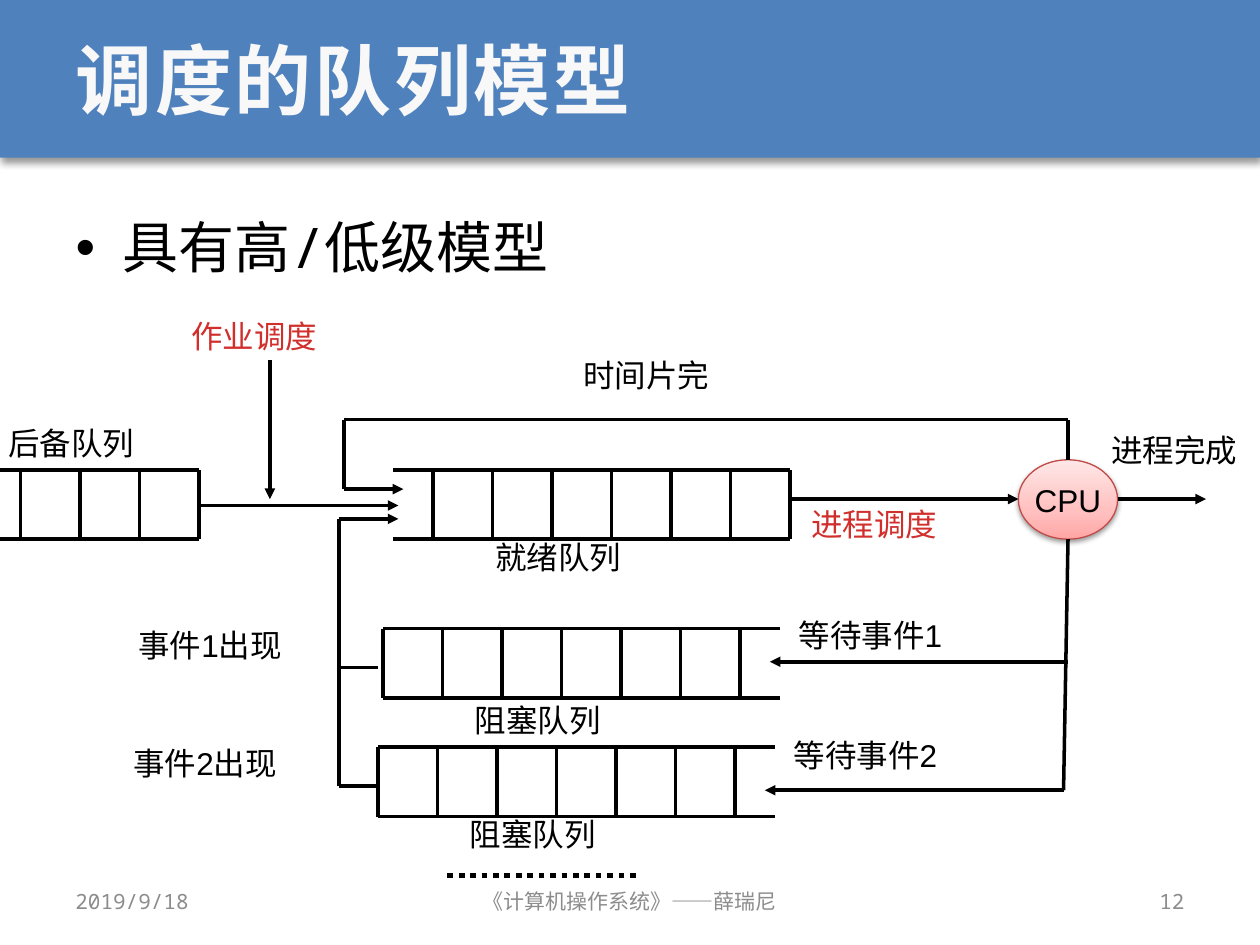
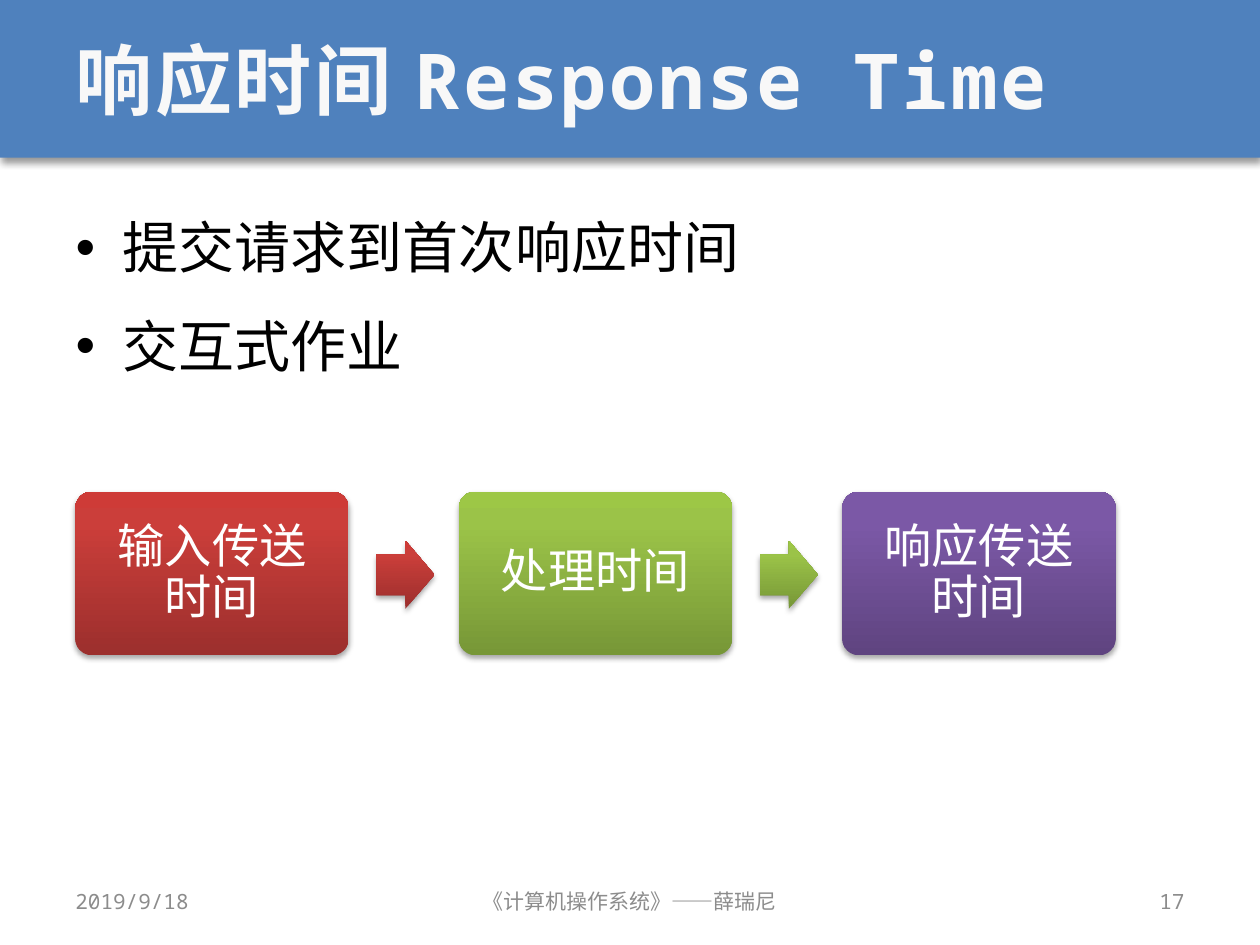
"""Build two slides on process scheduling queues and response time."""
from copy import deepcopy

from lxml.etree import SubElement
from pptx import Presentation
from pptx.dml.color import RGBColor
from pptx.enum.dml import MSO_LINE
from pptx.enum.shapes import MSO_CONNECTOR, MSO_SHAPE
from pptx.enum.text import MSO_ANCHOR, PP_ALIGN
from pptx.oxml.ns import qn
from pptx.util import Cm, Pt

BLACK = RGBColor(0x00, 0x00, 0x00)
WHITE = RGBColor(0xFF, 0xFF, 0xFF)
BAND_BLUE = RGBColor(0x4F, 0x81, 0xBD)
TITLE_WHITE = RGBColor(0xF8, 0xF8, 0xF8)
FOOTER_GRAY = RGBColor(0x8C, 0x8C, 0x8C)
LABEL_RED = RGBColor(0xD0, 0x2F, 0x2C)
CPU_LINE = RGBColor(0xBF, 0x4C, 0x48)
CPU_STOPS = (
    (0, RGBColor(0xFF, 0xA6, 0xA5)),
    (0.35, RGBColor(0xFF, 0xC0, 0xBF)),
    (1, RGBColor(0xFF, 0xE7, 0xE7)),
)
RED_STOPS = (
    (0, RGBColor(0x9C, 0x2F, 0x2D)),
    (0.8, RGBColor(0xCB, 0x3E, 0x3A)),
    (1, RGBColor(0xCE, 0x3B, 0x37)),
)
GREEN_STOPS = (
    (0, RGBColor(0x77, 0x97, 0x37)),
    (0.8, RGBColor(0x9B, 0xC3, 0x48)),
    (1, RGBColor(0x9D, 0xC7, 0x46)),
)
PURPLE_STOPS = (
    (0, RGBColor(0x5F, 0x44, 0x80)),
    (0.8, RGBColor(0x7B, 0x58, 0xA6)),
    (1, RGBColor(0x7C, 0x57, 0xA8)),
)

DECK_FONT = "Noto Sans Mono"
DIAGRAM_FONT = "Arial"
SLIDE_WIDTH = 25.4
SLIDE_HEIGHT = 19.05
BAND_HEIGHT = 3.18
MARGIN = 1.27
CONTENT_WIDTH = SLIDE_WIDTH - 2 * MARGIN
QUEUE_HEIGHT = 1.4
CELL_WIDTH = 1.2


def set_font(paragraph, name, size, color, bold=False):
    """Format the font of a whole paragraph."""
    font = paragraph.font
    font.name = name
    font.size = Pt(size)
    font.bold = bold
    font.color.rgb = color


def place(shape, left, top, width, height):
    """Move and size a shape, in centimetres."""
    shape.left, shape.top = Cm(left), Cm(top)
    shape.width, shape.height = Cm(width), Cm(height)


def add_shadow(shape, opacity, blur, distance):
    """Give a shape a soft black shadow that falls downwards."""
    shape.shadow.inherit = False
    effects = shape.element.spPr.find(qn("a:effectLst"))
    shadow = SubElement(
        effects, qn("a:outerShdw"), blurRad=str(Pt(blur)),
        dist=str(Pt(distance)), dir="5400000", rotWithShape="0")
    color = SubElement(shadow, qn("a:srgbClr"), val=str(BLACK))
    SubElement(color, qn("a:alpha"), val=str(opacity * 1000))


def add_glossy_shape(slide, kind, left, top, width, height, stops):
    """Add a preset shape with a three-stop gradient rising from its bottom."""
    shape = slide.shapes.add_shape(kind, Cm(left), Cm(top), Cm(width), Cm(height))
    shape.fill.gradient()
    shape.fill.gradient_angle = 90
    stop_list = shape.element.spPr.find(".//" + qn("a:gsLst"))
    stop_list.append(deepcopy(stop_list[0]))
    for stop, (position, color) in zip(shape.fill.gradient_stops, stops):
        stop.position = position
        stop.color.rgb = color
    shape.line.fill.background()
    return shape


def add_text(slide, text, left, top, width, font=DIAGRAM_FONT, size=18, color=BLACK,
             alignment=PP_ALIGN.LEFT, anchor=MSO_ANCHOR.TOP):
    """Add a one-line text box."""
    box = slide.shapes.add_textbox(Cm(left), Cm(top), Cm(width), Cm(1.02))
    frame = box.text_frame
    frame.word_wrap = True
    frame.vertical_anchor = anchor
    paragraph = frame.paragraphs[0]
    paragraph.text = text
    paragraph.alignment = alignment
    set_font(paragraph, font, size, color)


def add_line(slide, start, end, arrow=False, width=2):
    """Add a straight black line, with an arrowhead at its end if asked."""
    line = slide.shapes.add_connector(
        MSO_CONNECTOR.STRAIGHT, *(Cm(length) for length in (*start, *end)))
    line.line.color.rgb = BLACK
    line.line.width = Pt(width)
    properties = line.element.spPr
    if arrow:
        SubElement(properties.find(qn("a:ln")), qn("a:tailEnd"), type="triangle")
    SubElement(properties, qn("a:effectLst"))
    return line


def add_route(slide, *points, arrow=True):
    """Join points by lines, with the arrowhead on the last one."""
    for start, end in zip(points, points[1:]):
        add_line(slide, start, end, arrow and end == points[-1])


def add_queue(slide, left, right, top, first_wall, wall_count):
    """Draw a queue as two rails with evenly spaced walls."""
    bottom = top + QUEUE_HEIGHT
    for rail in (top, bottom):
        add_line(slide, (left, rail), (right, rail))
    for index in range(wall_count):
        wall = first_wall + index * CELL_WIDTH
        add_line(slide, (wall, top), (wall, bottom))


def add_master_band(presentation, slide):
    """Put the title band behind everything on the slide master."""
    band = slide.shapes.add_shape(
        MSO_SHAPE.RECTANGLE, 0, 0, Cm(SLIDE_WIDTH), Cm(BAND_HEIGHT))
    band.fill.solid()
    band.fill.fore_color.rgb = BAND_BLUE
    band.line.fill.background()
    add_shadow(band, 40, 4, 3)
    band.element.nvSpPr.cNvPr.set("id", "20")
    presentation.slide_master.shapes.element.insert(2, band.element)


def add_content_slide(presentation, title_text, bullets, number):
    """Add a slide with its title, bullet list and footers."""
    slide = presentation.slides.add_slide(presentation.slide_layouts[1])
    title, body = slide.shapes.title, slide.placeholders[1]

    place(title, MARGIN, 0, CONTENT_WIDTH, BAND_HEIGHT)
    title.text_frame.text = title_text
    title.text_frame.vertical_anchor = MSO_ANCHOR.MIDDLE
    paragraph = title.text_frame.paragraphs[0]
    paragraph.alignment = PP_ALIGN.LEFT
    set_font(paragraph, DECK_FONT, 44, TITLE_WHITE, bold=True)
    paragraph.runs[0]._r.get_or_add_rPr().set("spc", "150")

    place(body, MARGIN, 3.76, CONTENT_WIDTH, 13.54)
    body.text_frame.text = "\n".join(bullets)
    for index, paragraph in enumerate(body.text_frame.paragraphs):
        paragraph.line_spacing = 1.3
        paragraph.space_before = Pt(6.4 if index else 0)
        set_font(paragraph, DECK_FONT, 32, BLACK)

    for text, left, width, alignment in (
        ("2019/9/18", MARGIN, 5.92, PP_ALIGN.LEFT),
        ("《计算机操作系统》——薛瑞尼", 8.68, 8.04, PP_ALIGN.CENTER),
        (str(number), 18.21, 5.92, PP_ALIGN.RIGHT),
    ):
        add_text(slide, text, left, 17.65, width, DECK_FONT, 12, FOOTER_GRAY,
                 alignment, MSO_ANCHOR.MIDDLE)
    return slide


def add_cpu(slide):
    """Draw the processor that serves the ready queue."""
    cpu = add_glossy_shape(
        slide, MSO_SHAPE.OVAL, 20.53, 9.27, 2, 1.6, CPU_STOPS)
    cpu.line.color.rgb = CPU_LINE
    cpu.line.width = Pt(0.75)
    add_shadow(cpu, 38, 3.1, 1.6)
    cpu.text_frame.word_wrap = False
    cpu.text_frame.vertical_anchor = MSO_ANCHOR.MIDDLE
    paragraph = cpu.text_frame.paragraphs[0]
    paragraph.text = "CPU"
    paragraph.alignment = PP_ALIGN.CENTER
    set_font(paragraph, DIAGRAM_FONT, 18, BLACK)


def draw_queue_model(slide):
    """Draw the queues, the routes between them and their labels."""
    add_queue(slide, 0, 4.01, 9.47, 0.41, 4)
    add_queue(slide, 7.92, 15.93, 9.47, 8.73, 7)
    add_queue(slide, 7.72, 15.72, 12.67, 7.72, 7)
    add_queue(slide, 7.62, 15.62, 15.06, 7.62, 7)
    add_cpu(slide)

    add_route(slide, (5.44, 7.26), (5.44, 10.06))
    add_route(slide, (4.01, 10.19), (8.03, 10.19))
    add_route(slide, (15.93, 10.06), (20.53, 10.06))
    add_route(slide, (22.53, 10.06), (24.31, 10.06))
    add_route(slide, (21.53, 9.27), (21.53, 8.46), (6.93, 8.46), (6.93, 9.86),
              (8.13, 9.86))
    add_route(slide, (21.53, 10.87), (21.44, 15.93), (15.42, 15.93))
    add_route(slide, (21.53, 13.34), (15.52, 13.34))
    add_route(slide, (7.62, 15.85), (6.83, 15.85), (6.83, 10.46), (8.03, 10.46))
    add_route(slide, (6.83, 13.46), (7.62, 13.46), arrow=False)
    more_queues = add_line(slide, (9.02, 17.65), (12.83, 17.65), width=3.25)
    more_queues.line.dash_style = MSO_LINE.ROUND_DOT

    for text, left, top, width, color in (
        ("作业调度", 3.61, 6.27, 3.1, LABEL_RED),
        ("进程调度", 16.1, 10.06, 4.52, LABEL_RED),
        ("后备队列", -0.08, 8.43, 3.2, BLACK),
        ("就绪队列", 9.73, 10.72, 3.1, BLACK),
        ("阻塞队列", 9.32, 14, 3.1, BLACK),
        ("阻塞队列", 9.22, 16.31, 4.32, BLACK),
        ("时间片完", 11.51, 7.06, 5.11, BLACK),
        ("进程完成", 22.15, 8.56, 3.23, BLACK),
        ("等待事件1", 15.85, 12.29, 4.45, BLACK),
        ("等待事件2", 15.75, 14.71, 4.45, BLACK),
        ("事件1出现", 2.54, 12.5, 4.45, BLACK),
        ("事件2出现", 2.44, 14.88, 4.45, BLACK),
    ):
        add_text(slide, text, left, top, width, color=color)


def draw_response_steps(slide):
    """Draw the parts of the response time as boxes joined by block arrows."""
    steps = (
        ("输入传送时间", RED_STOPS),
        ("处理时间", GREEN_STOPS),
        ("响应传送时间", PURPLE_STOPS),
    )
    for index, (text, stops) in enumerate(steps):
        left = 1.52 + index * 7.73
        box = add_glossy_shape(
            slide, MSO_SHAPE.ROUNDED_RECTANGLE, left, 9.91, 5.51, 3.3, stops)
        box.adjustments[0] = 0.1
        add_shadow(box, 35, 3.1, 1.8)
        frame = box.text_frame
        frame.word_wrap = True
        frame.vertical_anchor = MSO_ANCHOR.MIDDLE
        frame.margin_left = frame.margin_right = Cm(0.4)
        paragraph = frame.paragraphs[0]
        paragraph.text = text
        paragraph.alignment = PP_ALIGN.CENTER
        paragraph.line_spacing = 0.9
        set_font(paragraph, DIAGRAM_FONT, 27, WHITE)
        if index < len(steps) - 1:
            arrow = add_glossy_shape(
                slide, MSO_SHAPE.RIGHT_ARROW, left + 6.07, 10.9, 1.17, 1.37, stops)
            arrow.adjustments[0] = 0.6
            arrow.adjustments[1] = 0.5
            add_shadow(arrow, 35, 3.1, 1.8)


def main():
    """Build and save the presentation."""
    presentation = Presentation()
    presentation.slide_width = Cm(SLIDE_WIDTH)
    presentation.slide_height = Cm(SLIDE_HEIGHT)

    queue_slide = add_content_slide(
        presentation, "调度的队列模型", ["具有高/低级模型"], 12)
    add_master_band(presentation, queue_slide)
    draw_queue_model(queue_slide)

    response_slide = add_content_slide(
        presentation, "响应时间 Response Time",
        ["提交请求到首次响应时间", "交互式作业"], 17)
    draw_response_steps(response_slide)

    presentation.save("out.pptx")


if __name__ == "__main__":
    main()
